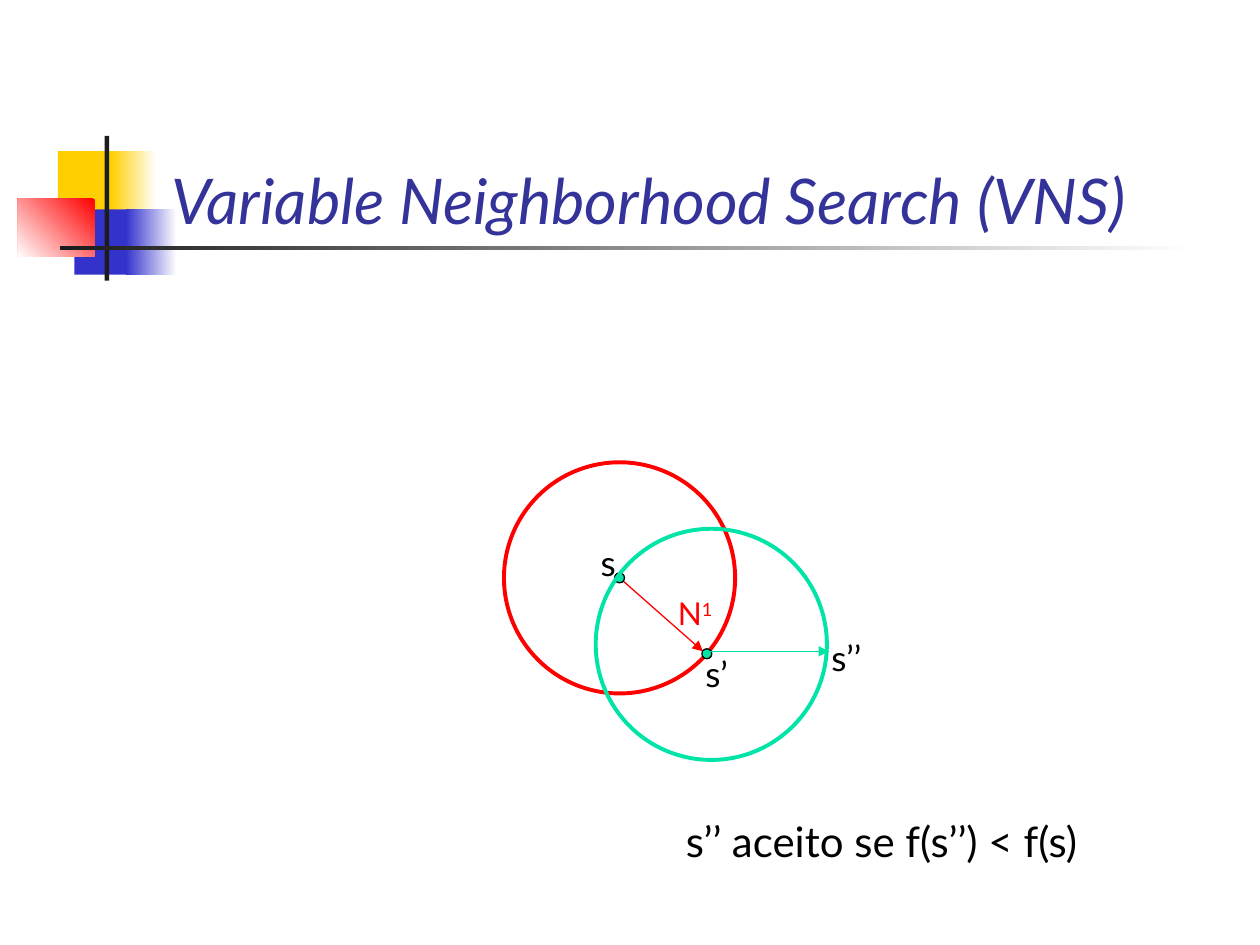
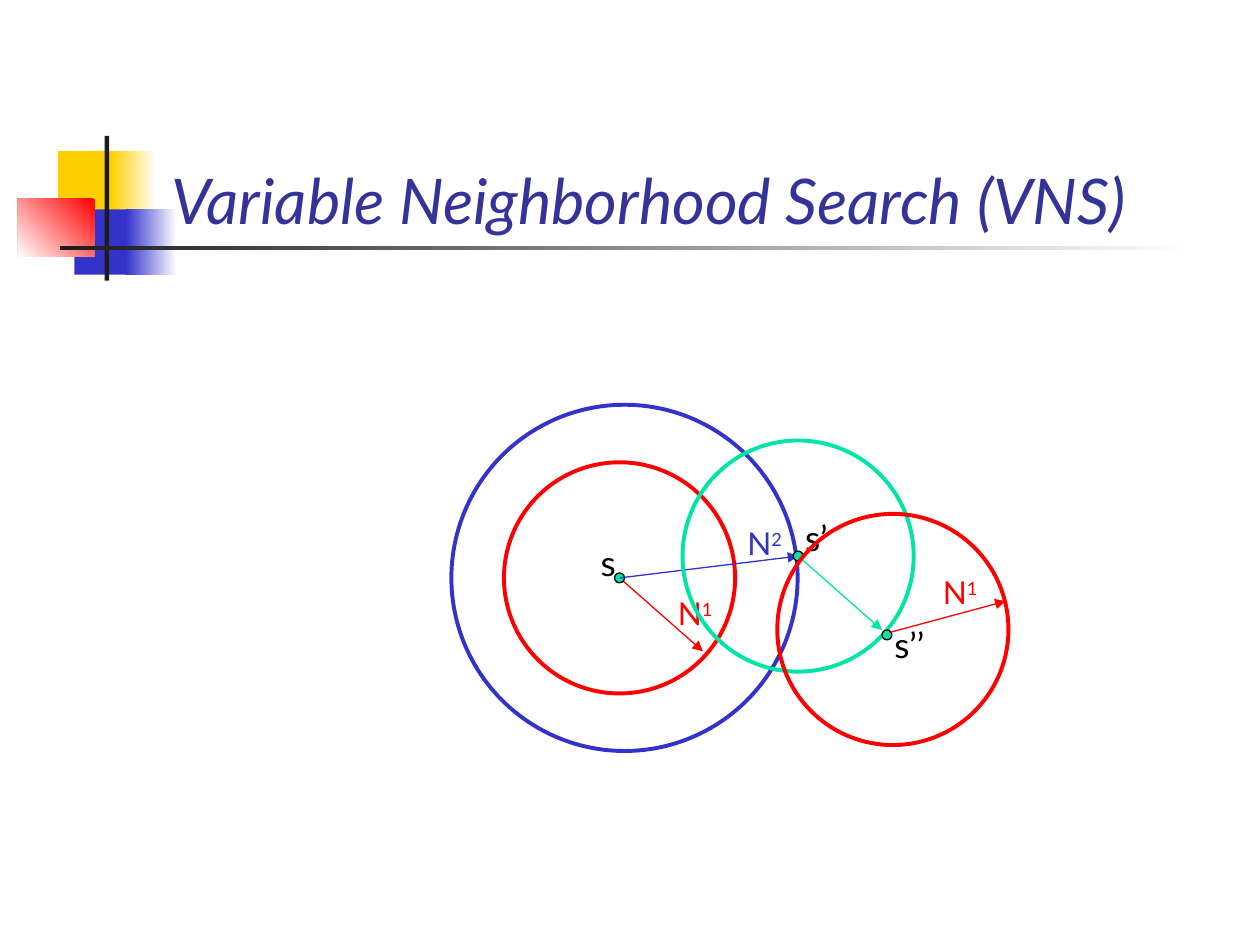
from lxml import etree
from pptx import Presentation
from pptx.dml.color import RGBColor
from pptx.enum.shapes import MSO_CONNECTOR, MSO_SHAPE
from pptx.enum.text import MSO_ANCHOR, MSO_AUTO_SIZE, PP_ALIGN
from pptx.oxml.ns import qn
from pptx.util import Cm, Pt

RECTANGLE, ELLIPSE = MSO_SHAPE.RECTANGLE, MSO_SHAPE.OVAL
STRAIGHT = MSO_CONNECTOR.STRAIGHT
BOTTOM = MSO_ANCHOR.BOTTOM
LEFT, CENTER = PP_ALIGN.LEFT, PP_ALIGN.CENTER
FIXED = MSO_AUTO_SIZE.NONE

COLORS = {
    "white": "FFFFFF", "black": "000000", "charcoal": "1C1C1C",
    "yellow": "FFCF01", "blue": "3333CC", "red": "FF0000",
    "green": "00E4A8", "title": "333399",
}
FONT = "Lato"
TITLE = "Variable Neighborhood Search (VNS)"
TITLE_ONLY_LAYOUT = 5
ORNAMENT_BOX = (0.36, 2.74)
TITLE_BOX = (3.2, 1.73, 21.64, 3.18)
DIAGRAM_BOX = (9, 8)
CAPTION_BOX = (12.27, 16.31, 11, 1.27)
THIN, THICK = 0.74, 2.24
RADIUS, WIDE_RADIUS, DOT_RADIUS = 2.33, 3.49, 0.1
START = (3.49, 3.65)


def color(name):
    """Return the named colour of the palette."""
    return RGBColor.from_string(COLORS[name])


def add_run(paragraph, text, size, ink, italic=False, superscript=False):
    """Add one formatted run to a paragraph."""
    run = paragraph.add_run()
    run.text = text
    run.font.name = FONT
    run.font.size = Pt(size)
    run.font.italic = italic
    run.font.color.rgb = color(ink)
    if superscript:
        run.font._element.set("baseline", "30000")


def add_bar(slide, left, top, width, height, *inks, angle=180):
    """Add a borderless rectangle, solid for one ink and graded for two."""
    shape = slide.shapes.add_shape(RECTANGLE, Cm(left), Cm(top), Cm(width), Cm(height))
    shape.shadow.inherit = False
    shape.line.fill.background()
    if len(inks) == 1:
        shape.fill.solid()
        shape.fill.fore_color.rgb = color(inks[0])
    else:
        shape.fill.gradient()
        shape.fill.gradient_angle = angle
        for stop, ink in zip(shape.fill.gradient_stops, inks):
            stop.color.rgb = color(ink)
    return shape


def add_ornament(slide, box):
    """Draw the coloured squares and crossing bars and move them to the layout."""
    left, top = box
    bars = [
        add_bar(slide, left + 0.81, top + 0.31, 1.22, 1.32, "yellow"),
        add_bar(slide, left + 1.88, top + 0.31, 0.91, 1.32, "white", "yellow"),
        add_bar(slide, left + 1.14, top + 1.48, 1.17, 1.32, "blue"),
        add_bar(slide, left + 2.18, top + 1.48, 1.02, 1.32, "white", "blue"),
        add_bar(slide, left, top + 1.27, 1.55, 1.17, "red", "white", angle=225),
        add_bar(slide, left + 1.75, top, 0.09, 2.92, "charcoal"),
        add_bar(slide, left + 0.86, top + 2.21, 22.86, 0.09, "white", "charcoal"),
    ]
    for bar in bars:
        slide.slide_layout.shapes.element.append(bar.element)


def add_title(slide, box):
    """Place and fill the title placeholder."""
    title = slide.shapes.title
    title.left, title.top, title.width, title.height = map(Cm, box)
    frame = title.text_frame
    frame.auto_size = FIXED
    frame.word_wrap = True
    frame.vertical_anchor = BOTTOM
    paragraph = frame.paragraphs[0]
    paragraph.alignment = LEFT
    add_run(paragraph, TITLE, 36, "title", italic=True)


def add_text(slide, box, text, size, ink="black", alignment=LEFT, exponent=""):
    """Add a one-line text box with an optional superscript."""
    frame = slide.shapes.add_textbox(*map(Cm, box)).text_frame
    frame.word_wrap = True
    paragraph = frame.paragraphs[0]
    paragraph.alignment = alignment
    paragraph.space_before = Pt(size * 0.625)
    add_run(paragraph, text, size, ink)
    if exponent:
        add_run(paragraph, exponent, size, ink, superscript=True)


class Diagram:
    """Neighborhood diagram whose points are relative to the box corner."""

    def __init__(self, slide, box):
        """Keep the slide and the box corner."""
        self.slide = slide
        self.left, self.top = box

    def place(self, point):
        """Return a point of the diagram in slide centimetres."""
        return self.left + point[0], self.top + point[1]

    def circle(self, center, ink, radius=RADIUS, width=THICK, fill=None):
        """Add a circle around a centre."""
        x, y = self.place(center)
        shape = self.slide.shapes.add_shape(
            ELLIPSE, Cm(x - radius), Cm(y - radius), Cm(2 * radius), Cm(2 * radius))
        shape.shadow.inherit = False
        shape.line.color.rgb = color(ink)
        shape.line.width = Pt(width)
        if fill:
            shape.fill.solid()
            shape.fill.fore_color.rgb = color(fill)
        else:
            shape.fill.background()

    def dot(self, center):
        """Add the mark of a solution."""
        self.circle(center, "black", DOT_RADIUS, THIN, "green")

    def arrow(self, start, end, ink):
        """Add an arrow between two points."""
        points = [Cm(value) for value in self.place(start) + self.place(end)]
        connector = self.slide.shapes.add_connector(STRAIGHT, *points)
        connector.line.color.rgb = color(ink)
        connector.line.width = Pt(THIN)
        properties = connector.element.spPr
        etree.SubElement(properties.find(qn("a:ln")), qn("a:tailEnd"), type="triangle")
        etree.SubElement(properties, qn("a:effectLst"))

    def solution(self, corner, text):
        """Name a solution."""
        add_text(self.slide, self.place(corner) + (1.47, 1.12), text, 20)

    def neighborhood(self, corner, index, ink):
        """Name a neighborhood by its index."""
        add_text(self.slide, self.place(corner) + (1.47, 1.02), "N", 18, ink, CENTER, index)

    def first_neighborhood(self):
        """Draw the first neighborhood around the starting solution."""
        self.circle(START, "red")
        self.arrow(START, (5.17, 5.13), "red")
        self.neighborhood((4.28, 3.86), "1", "red")
        self.dot(START)
        self.solution((2.86, 2.8), "s")


def draw_acceptance(slide, box):
    """Draw the local search from a neighbor in the first neighborhood."""
    diagram = Diagram(slide, box)
    diagram.first_neighborhood()
    diagram.dot((5.25, 5.18))
    diagram.circle((5.34, 4.99), "green")
    diagram.arrow((5.17, 5.13), (7.71, 5.13), "green")
    diagram.solution((4.97, 5.03), "s’")
    diagram.solution((7.51, 4.7), "s’’")


def draw_change(slide, box):
    """Draw the move to the second neighborhood and the return to the first."""
    diagram = Diagram(slide, box)
    neighbor, improved = (7.09, 3.21), (8.88, 4.8)
    diagram.first_neighborhood()
    diagram.circle((3.59, 3.65), "blue", WIDE_RADIUS)
    diagram.arrow(START, neighbor, "blue")
    diagram.neighborhood((5.68, 2.44), "2", "blue")
    diagram.circle(neighbor, "green")
    diagram.dot(neighbor)
    diagram.arrow(neighbor, (8.78, 4.7), "green")
    diagram.solution((6.98, 2.29), "s’")
    diagram.solution((8.78, 4.45), "s’’")
    diagram.circle((9, 4.69), "red")
    diagram.dot(improved)
    diagram.arrow((8.93, 4.75), (11.27, 4.12), "red")
    diagram.neighborhood((9.62, 3.43), "1", "red")


def main():
    """Build both slides and save the presentation."""
    presentation = Presentation()
    presentation.slide_width, presentation.slide_height = Cm(25.4), Cm(19.05)
    layout = presentation.slide_layouts[TITLE_ONLY_LAYOUT]
    slides = [presentation.slides.add_slide(layout) for _ in range(2)]
    add_ornament(slides[0], ORNAMENT_BOX)
    for slide, draw in zip(slides, (draw_acceptance, draw_change)):
        add_title(slide, TITLE_BOX)
        draw(slide, DIAGRAM_BOX)
    add_text(slides[0], CAPTION_BOX, "s’’ aceito se f(s’’) < f(s)", 24, alignment=CENTER)
    presentation.save("out.pptx")


main()
